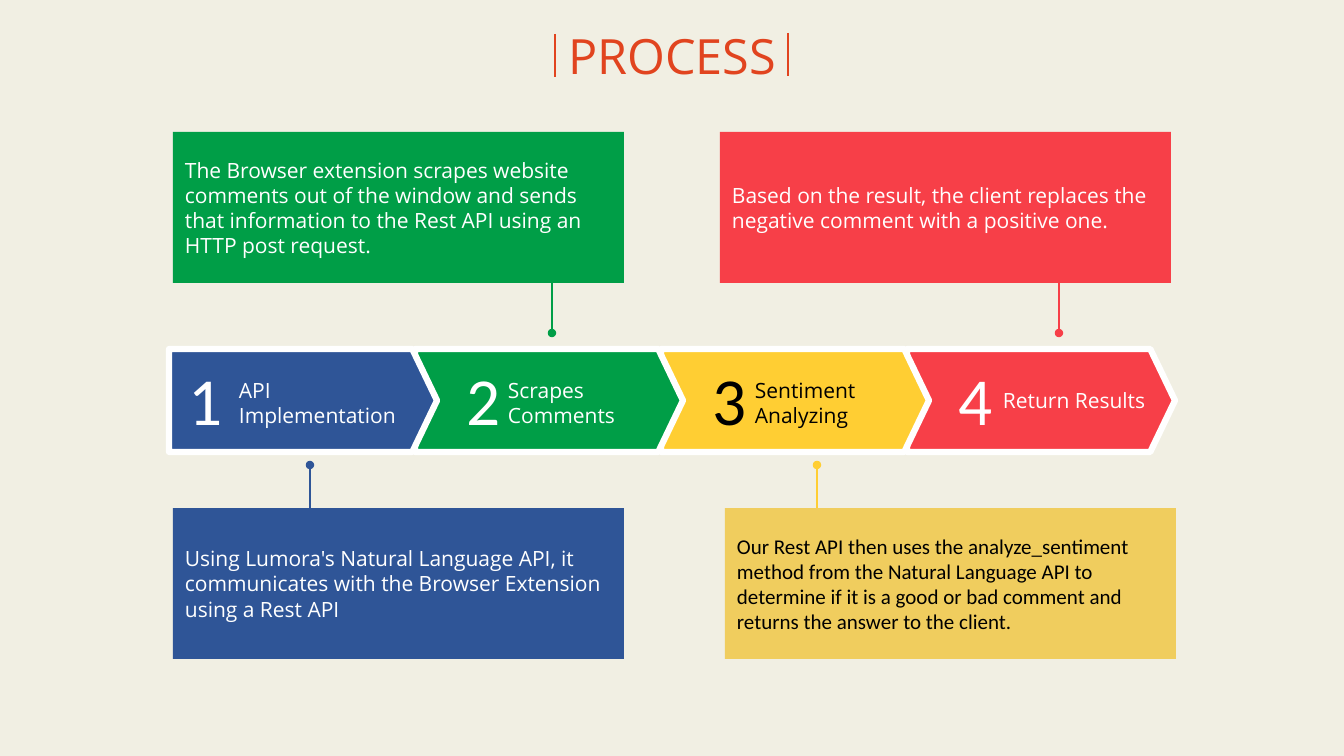
"""Build the four-step PROCESS slide."""
from lxml import etree
from pptx import Presentation
from pptx.dml.color import RGBColor
from pptx.enum.shapes import MSO_CONNECTOR, MSO_SHAPE
from pptx.enum.text import MSO_ANCHOR, PP_ALIGN
from pptx.oxml.ns import qn
from pptx.util import Emu, Pt

RECT, ARROW = MSO_SHAPE.RECTANGLE, MSO_SHAPE.PENTAGON
STRAIGHT = MSO_CONNECTOR.STRAIGHT
TOP, MIDDLE = MSO_ANCHOR.TOP, MSO_ANCHOR.MIDDLE
LEFT, CENTER = PP_ALIGN.LEFT, PP_ALIGN.CENTER
SANS, CALIBRI = "Open Sans", "Calibri"
COLORS = {
    "paper": "F1EFE3", "title": "E1441F", "white": "FFFFFF", "black": "000000",
    "blue": "2F5597", "green": "009E47", "yellow": "FFCE33", "red": "F73F48",
    "sand": "F0CD5E",
}


def px(n):
    return Emu(round(n * 914400 / 100.8))


def rgb(name):
    return RGBColor.from_string(COLORS[name])


class Canvas:
    def __init__(self, slide):
        self.s = slide
        fill = slide.background.fill
        fill.solid()
        fill.fore_color.rgb = rgb("paper")

    def set_text(self, sp, text, color, size, font, align, anchor, inset):
        tf = sp.text_frame
        tf.word_wrap = True
        tf.vertical_anchor = anchor
        tf.margin_left = tf.margin_right = px(inset[0])
        tf.margin_top = tf.margin_bottom = px(inset[1])
        p = tf.paragraphs[0]
        p.text = text
        p.alignment = align
        p.font.size, p.font.name = Pt(size), font
        p.font.color.rgb = rgb(color)

    def text(self, box, text, color, size=15, font=SANS, align=LEFT, anchor=TOP):
        sp = self.s.shapes.add_textbox(*map(px, box))
        self.set_text(sp, text, color, size, font, align, anchor, (10, 5))

    def shape(self, kind, box, fill):
        sp = self.s.shapes.add_shape(kind, *map(px, box))
        sp.shadow.inherit = False
        sp.fill.solid()
        sp.fill.fore_color.rgb = rgb(fill)
        sp.line.fill.background()
        return sp

    def card(self, box, fill, text, color="white", font=SANS):
        sp = self.shape(RECT, box, fill)
        self.set_text(sp, text, color, 15, font, LEFT, MIDDLE, (12, 12))

    def arrow(self, box, fill):
        sp = self.shape(ARROW, box, fill)
        sp.adjustments[0] = 0.24
        sp.line.color.rgb = rgb("white")
        sp.line.width = Pt(4.5)

    def line(self, x, y1, y2, color, width=2, dot=True):
        c = self.s.shapes.add_connector(STRAIGHT, px(x), px(y1), px(x), px(y2))
        c.line.color.rgb = rgb(color)
        c.line.width = Pt(width)
        sp_pr = c._element.spPr
        if dot:
            etree.SubElement(sp_pr.find(qn("a:ln")), qn("a:tailEnd"), type="oval")
        etree.SubElement(sp_pr, qn("a:effectLst"))


prs = Presentation()
prs.slide_width, prs.slide_height = px(1344), px(756)
canvas = Canvas(prs.slides.add_slide(prs.slide_layouts[6]))

ARROW_X, PITCH, ARROW_Y = 169, 246, 349
steps = [
    ("API Implementation", "blue", "white", 10, 60, 403),
    ("Scrapes Comments", "green", "white", 42, 83, 403),
    ("Sentiment Analyzing", "yellow", "black", 42, 84, 403),
    ("Return Results", "red", "white", 42, 86, 400),
]
for i, (label, fill, color, number_dx, label_dx, mid) in reversed(list(enumerate(steps))):
    x = ARROW_X + i * PITCH
    canvas.arrow((x, ARROW_Y, 268, 103), fill)
    canvas.text((x + number_dx, 353, 60, 95), str(i + 1), color, 48, CALIBRI)
    canvas.text((x + label_dx, mid - 31, 187, 62), label, color, anchor=MIDDLE)

CARD_W, CARD_H, UPPER, LOWER = 451, 151, 132, 508
for x, start, end, color in [
    (310, LOWER, 465, "blue"), (817, LOWER, 465, "yellow"),
    (552, UPPER + CARD_H, 333, "green"), (1059, UPPER + CARD_H, 333, "red"),
]:
    canvas.line(x, start, end, color)

cards = [
    (173, UPPER, "green", "The Browser extension scrapes website comments out of the window "
     "and sends that information to the Rest API using an HTTP post request."),
    (173, LOWER, "blue", "Using Lumora's Natural Language API, it communicates with the "
     "Browser Extension using a Rest API"),
    (725, LOWER, "sand", "Our Rest API then uses the analyze_sentiment method from the "
     "Natural Language API to determine if it is a good or bad comment and returns "
     "the answer to the client.", "black", CALIBRI),
    (720, UPPER, "red", "Based on the result, the client replaces the negative comment "
     "with a positive one."),
]
for x, y, *content in cards:
    canvas.card((x, y, CARD_W, CARD_H), *content)

canvas.text((126, 21, 1092, 69), "PROCESS", "title", 34.7, align=CENTER)
for x, y in [(555, 34), (788, 33)]:
    canvas.line(x, y, y + 43, "title", 1.5, dot=False)

prs.save("out.pptx")
